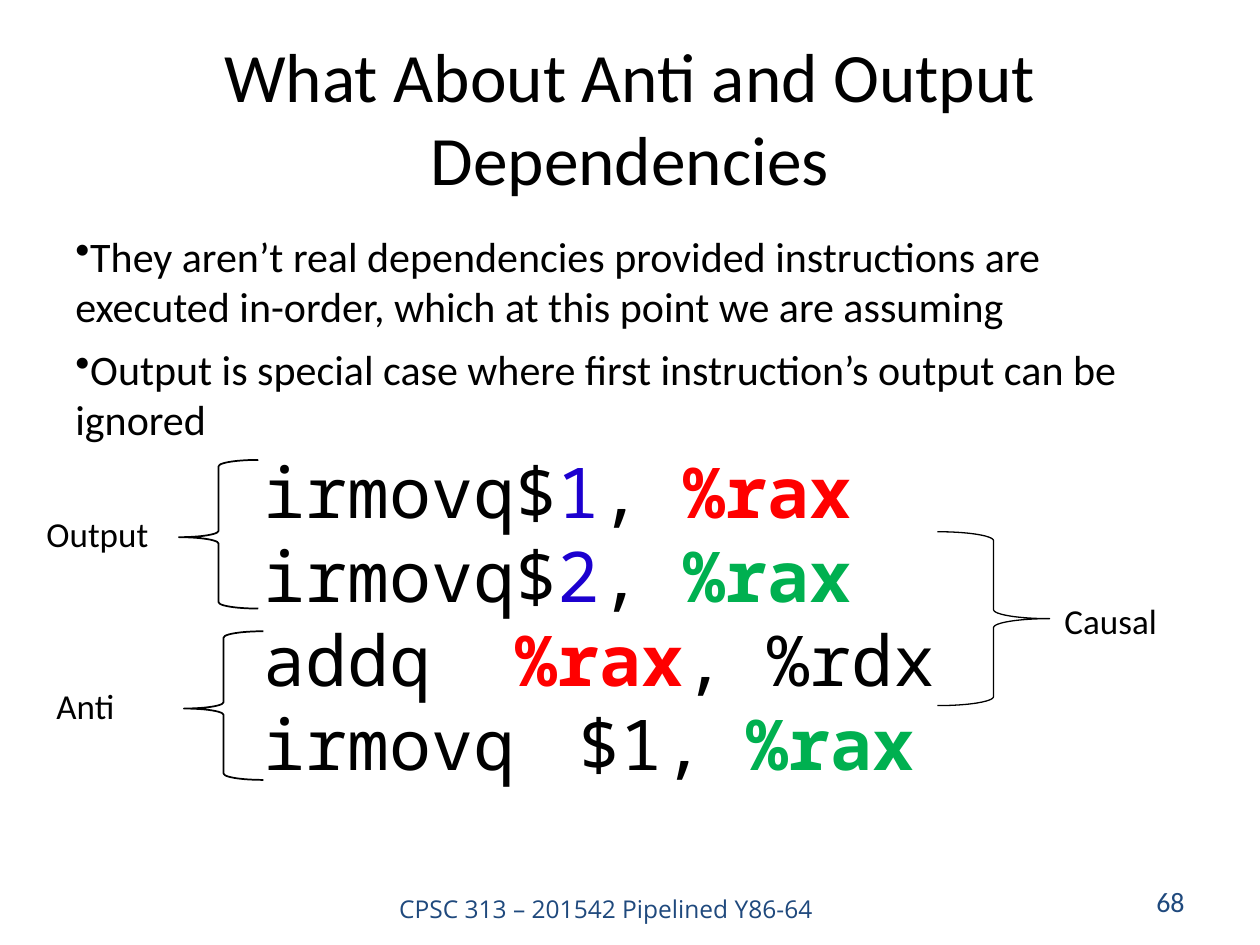
from pptx import Presentation
from pptx.dml.color import RGBColor
from pptx.enum import shapes, text
from pptx.util import Pt
from lxml import etree

PX = 9144
INK = {"black": "000000", "navy": "1F497D", "blue": "1C00CF", "red": "FF0000", "green": "00B050"}
SANS, MONO = "Calibri", "Noto Sans Mono"
LEFT, MID, RIGHT = text.PP_ALIGN.LEFT, text.PP_ALIGN.CENTER, text.PP_ALIGN.RIGHT
TOP, HALF = text.MSO_ANCHOR.TOP, text.MSO_ANCHOR.MIDDLE


def scale(*nums):
    return [n * PX for n in nums]


def write(slide, box, lines, size, font=SANS, ink="black", align=LEFT, anchor=TOP, wrap=True, inset=None):
    frame = slide.shapes.add_textbox(*scale(*box)).text_frame
    frame.word_wrap = wrap
    frame.vertical_anchor = anchor
    if inset is not None:
        frame.margin_left = frame.margin_right = inset * PX
        frame.margin_top = frame.margin_bottom = inset * PX
    for i, line in enumerate(lines):
        para = frame.paragraphs[0] if i == 0 else frame.add_paragraph()
        para.alignment = align
        for words, hue, bold in line:
            run = para.add_run()
            run.text = words
            run.font.size = Pt(size)
            run.font.name = font
            run.font.bold = bold
            run.font.color.rgb = RGBColor.from_string(INK[hue or ink])
    return frame


def plain(words):
    return [(words, None, False)]


def title(slide, box):
    write(slide, box, [plain("What About Anti and Output Dependencies")], 39.6, align=MID, anchor=HALF)


def body(slide, box):
    points = [
        "They aren’t real dependencies provided instructions are executed in-order, "
        "which at this point we are assuming",
        "Output is special case where first instruction’s output can be ignored",
    ]
    frame = write(slide, box, [plain(p) for p in points], 24)
    for para in frame.paragraphs:
        para.space_before = Pt(7)
        props = para._p.get_or_add_pPr()
        props.set("marL", "0")
        props.set("indent", str(-32 * PX))
        tag = "{http://schemas.openxmlformats.org/drawingml/2006/main}buChar"
        etree.SubElement(props, tag).set("char", "•")


def code(slide, box):
    def load(num, hue):
        return [("irmovq\t$", None, False), (num, "blue", False), (", ", None, False), ("%rax", hue, True)]

    lines = [
        load("1", "red"),
        load("2", "green"),
        [("addq \t", None, False), ("%rax", "red", True), (", %rdx", None, False)],
        [("irmovq \t$1, ", None, False), ("%rax", "green", True)],
    ]
    write(slide, box, lines, 40, MONO, inset=0)


def brace(slide, box, kind, width, tip, label, spot):
    shape = slide.shapes.add_shape(kind, *scale(*box))
    shape.shadow.inherit = False
    shape.fill.background()
    shape.line.color.rgb = RGBColor.from_string(INK["black"])
    shape.line.width = Pt(width)
    shape.adjustments[0] = 0.08
    shape.adjustments[1] = tip
    x, y, w, h = spot
    write(slide, (box[0] + x, box[1] + y, w, h), [plain(label)], 20, wrap=False)


def footer(slide, box):
    x, y, w, h = box
    write(slide, (x, y + 10, 388, 30), [plain("CPSC 313 – 201542 Pipelined Y86-64")], 14, "Open Sans", "navy", MID)
    write(slide, (x + w - 233, y, 233, h), [plain("68")], 16, ink="navy", align=RIGHT, anchor=HALF)


def main():
    deck = Presentation()
    deck.slide_width, deck.slide_height = scale(1000, 750)
    slide = deck.slides.add_slide(deck.slide_layouts[6])
    kind = shapes.MSO_SHAPE
    footer(slide, (287, 695, 663, 40))
    title(slide, (50, 30, 900, 125))
    body(slide, (50, 178, 900, 492))
    code(slide, (209, 356, 646, 337))
    brace(slide, (142, 365, 63, 118), kind.LEFT_BRACE, 1, 0.52, "Output", (-115, 37, 102, 44))
    brace(slide, (146, 501, 63, 118), kind.LEFT_BRACE, 1, 0.52, "Anti", (-111, 37, 67, 44))
    brace(slide, (744, 422, 89, 138), kind.RIGHT_BRACE, 0.75, 0.5, "Causal", (91, 49, 94, 44))
    deck.save("out.pptx")


if __name__ == "__main__":
    main()
